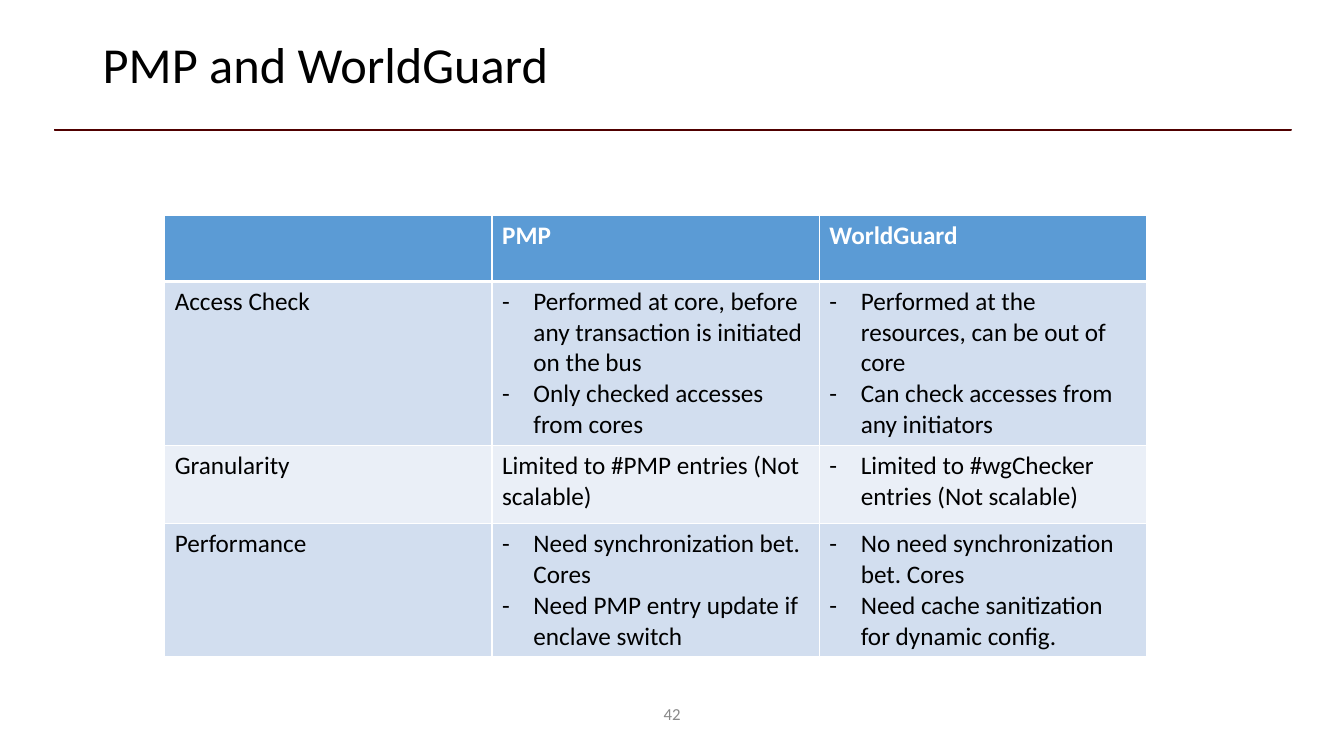
from lxml import etree
from pptx import Presentation
from pptx.dml.color import RGBColor
from pptx.enum.shapes import MSO_SHAPE
from pptx.enum.text import MSO_ANCHOR, PP_ALIGN
from pptx.oxml.ns import qn
from pptx.util import Cm, Pt

RECT = MSO_SHAPE.RECTANGLE
MIDDLE = MSO_ANCHOR.MIDDLE
LEFT, CENTER = PP_ALIGN.LEFT, PP_ALIGN.CENTER

COLORS = {
    "maroon": "500000", "black": "000000", "white": "FFFFFF",
    "gray": "898989", "head": "5B9BD5", "dark": "D2DEEF", "light": "EAEFF7",
}

# A cell holds plain text, or a list of dashed points.
ROWS = [
    ["", "PMP", "WorldGuard"],
    ["Access Check",
     ["Performed at core, before any transaction is initiated on the bus",
      "Only checked accesses from cores"],
     ["Performed at the resources, can be out of core",
      "Can check accesses from any initiators"]],
    ["Granularity",
     "Limited to #PMP entries (Not scalable)",
     ["Limited to #wgChecker entries (Not scalable)"]],
    ["Performance",
     ["Need synchronization bet. Cores",
      "Need PMP entry update if enclave switch"],
     ["No need synchronization bet. Cores",
      "Need cache sanitization for dynamic config."]],
]
HEIGHTS = [1.67, 4.13, 1.98, 3.35]


class Deck:
    """Holds the style and the current slide."""

    font = "Calibri"
    indent = Cm(0.79)

    def __init__(self, width, height):
        self.prs = Presentation()
        self.prs.slide_width, self.prs.slide_height = Cm(width), Cm(height)
        self.slide = self.prs.slides.add_slide(self.prs.slide_layouts[6])

    def color(self, name):
        return RGBColor.from_string(COLORS[name])

    def style(self, par, size, color, bold=False):
        for run in par.runs:
            font = run.font
            font.name, font.size, font.bold = self.font, Pt(size), bold
            font.color.rgb = self.color(color)

    def rule(self, box, color):
        bar = self.slide.shapes.add_shape(RECT, *map(Cm, box))
        bar.shadow.inherit = False
        bar.fill.solid()
        bar.fill.fore_color.rgb = self.color(color)
        bar.line.color.rgb = self.color(color)
        bar.line.width = Pt(1)

    def text(self, box, words, size, color, align=LEFT, space=1.0):
        frame = self.slide.shapes.add_textbox(*map(Cm, box)).text_frame
        frame.word_wrap = True
        frame.vertical_anchor = MIDDLE
        frame.text = words
        par = frame.paragraphs[0]
        par.alignment, par.line_spacing = align, space
        self.style(par, size, color)

    def dash(self, par):
        props = par._p.get_or_add_pPr()
        props.set("marL", str(self.indent))
        props.set("indent", str(-self.indent))
        etree.SubElement(props, qn("a:buFont"), typeface=self.font)
        etree.SubElement(props, qn("a:buChar"), char="-")

    def border(self, cell, base):
        """Draw white edges, with the bottom one base points wide."""
        props = cell._tc.get_or_add_tcPr()
        for side, width in (("L", 1), ("R", 1), ("T", 1), ("B", base)):
            line = etree.SubElement(props, qn("a:ln" + side), w=str(Pt(width)))
            fill = etree.SubElement(line, qn("a:solidFill"))
            etree.SubElement(fill, qn("a:srgbClr"), val=COLORS["white"])

    def cell(self, cell, words, fill, color, head):
        self.border(cell, 3 if head else 1)
        cell.fill.solid()
        cell.fill.fore_color.rgb = self.color(fill)
        points = isinstance(words, list)
        cell.text_frame.text = "\n".join(words) if points else words
        for par in cell.text_frame.paragraphs:
            if points:
                self.dash(par)
            self.style(par, 18, color, head)
            if not words:
                par.font.size = Pt(18)

    def table(self, left, top, width, rows, heights):
        count = len(rows[0])
        frame = self.slide.shapes.add_table(
            len(rows), count, Cm(left), Cm(top), Cm(width * count),
            Cm(sum(heights)))
        grid = frame.table
        for col in grid.columns:
            col.width = Cm(width)
        for i, (row, height) in enumerate(zip(rows, heights)):
            grid.rows[i].height = Cm(height)
            head = i == 0
            fill = "head" if head else "dark" if i % 2 else "light"
            color = "white" if head else "black"
            for j, words in enumerate(row):
                self.cell(grid.cell(i, j), words, fill, color, head)


def main():
    deck = Deck(33.87, 19.05)
    deck.rule((1.37, 3.26, 31.17, 0.02), "maroon")
    deck.text((2.34, 0.56, 29.21, 2.26), "PMP and WorldGuard", 36, "black",
              space=0.9)
    deck.text((13.13, 17.48, 7.62, 1.02), "42", 12, "gray", CENTER)
    deck.table(4.15, 5.42, 8.25, ROWS, HEIGHTS)
    deck.prs.save("out.pptx")


if __name__ == "__main__":
    main()
